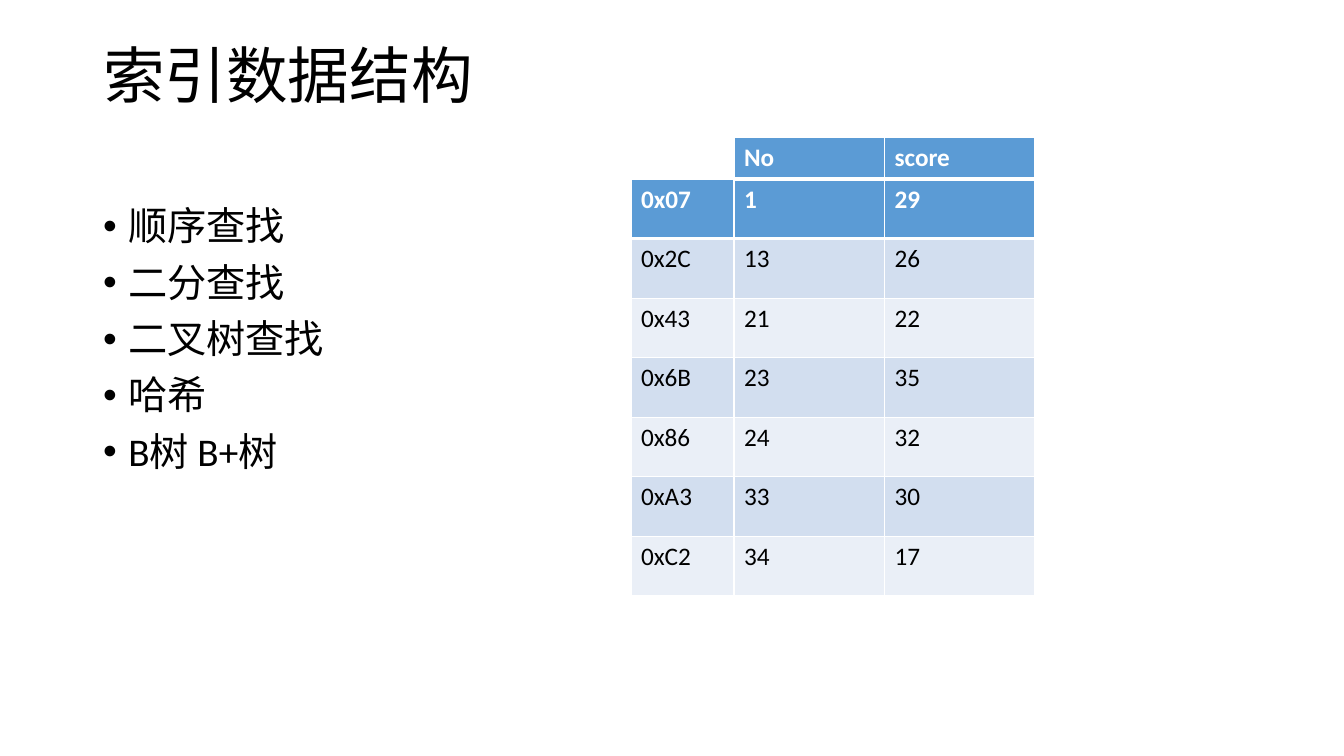
from dataclasses import dataclass

from pptx import Presentation
from pptx.dml.color import RGBColor
from pptx.enum import text
from pptx.oxml import parse_xml
from pptx.oxml.ns import nsdecls
from pptx import util as u

EMU_PER_PX = 914400 / 100.8


@dataclass(frozen=True)
class Theme:
    font: str = "Calibri"
    ink: str = "000000"
    paper: str = "FFFFFF"
    accent: str = "5B9BD5"
    bands: tuple = ("EAEFF7", "D2DEEF")
    title_size: int = 44
    list_size: int = 28
    cell_size: int = 18
    thin: int = 1
    thick: int = 3


THEME = Theme()

ADDRESSES = ["0x07", "0x2C", "0x43", "0x6B", "0x86", "0xA3", "0xC2"]
SCORES = [(1, 29), (13, 26), (21, 22), (23, 35), (24, 32), (33, 30), (34, 17)]
METHODS = ["顺序查找", "二分查找", "二叉树查找", "哈希", "B树 B+树"]


def px(n):
    return u.Emu(round(n * EMU_PER_PX))


def place(sp, left, top, width, height):
    sp.left, sp.top, sp.width, sp.height = map(px, (left, top, width, height))


def add_run(p, words, size, color, bold=False):
    r = p.add_run()
    r.text = words
    r.font.name = THEME.font
    r.font.size = u.Pt(size)
    r.font.bold = bold
    r.font.color.rgb = RGBColor.from_string(color)


def fill_placeholder(sp, box, lines, size):
    place(sp, *box)
    tf = sp.text_frame
    tf.word_wrap = True
    tf.auto_size = text.MSO_AUTO_SIZE.NONE
    tf.vertical_anchor = text.MSO_ANCHOR.TOP
    for i, line in enumerate(lines):
        p = tf.add_paragraph() if i else tf.paragraphs[0]
        p.alignment = text.PP_ALIGN.LEFT
        p.line_spacing = 0.9
        add_run(p, line, size, THEME.ink)
    return tf


def add_bullets(sp, box, lines):
    tf = fill_placeholder(sp, box, lines, THEME.list_size)
    for p in tf.paragraphs:
        p.space_before = u.Pt(10)
        pPr = p._p.get_or_add_pPr()
        pPr.set("marL", str(u.Inches(0.25)))
        pPr.set("indent", str(-u.Inches(0.25)))
        pPr.append(parse_xml(f'<a:buChar {nsdecls("a")} char="•"/>'))


def set_borders(cell, row):
    widths = {
        "L": THEME.thin,
        "R": THEME.thin,
        "T": THEME.thick if row == 1 else THEME.thin,
        "B": THEME.thick if row == 0 else THEME.thin,
    }
    tcPr = cell._tc.get_or_add_tcPr()
    for i, (side, width) in enumerate(widths.items()):
        tcPr.insert(i, parse_xml(
            f'<a:ln{side} {nsdecls("a")} w="{u.Pt(width)}"><a:solidFill>'
            f'<a:srgbClr val="{THEME.paper}"/></a:solidFill></a:ln{side}>'))


def add_grid(slide, box, rows):
    left, top, width, height = map(px, box)
    table = slide.shapes.add_table(
        len(rows), len(rows[0]), left, top, width, height).table
    for i, values in enumerate(rows):
        head = i == 0
        for j, value in enumerate(values):
            cell = table.cell(i, j)
            cell.fill.solid()
            cell.fill.fore_color.rgb = RGBColor.from_string(
                THEME.accent if head else THEME.bands[i % 2])
            set_borders(cell, i)
            add_run(cell.text_frame.paragraphs[0], str(value), THEME.cell_size,
                    THEME.paper if head else THEME.ink, head)


def main():
    prs = Presentation()
    prs.slide_width, prs.slide_height = px(1344), px(756)
    slide = prs.slides.add_slide(prs.slide_layouts[1])
    title, body = slide.placeholders
    fill_placeholder(title, (93, 40, 1159, 146), ["索引数据结构"], THEME.title_size)
    add_bullets(body, (93, 202, 1159, 480), METHODS)
    add_grid(slide, (734, 179, 301, 417), SCORES)
    add_grid(slide, (631, 179, 103, 417), [[a] for a in ADDRESSES])
    add_grid(slide, (734, 137, 301, 42), [("No", "score")])
    prs.save("out.pptx")


if __name__ == "__main__":
    main()
